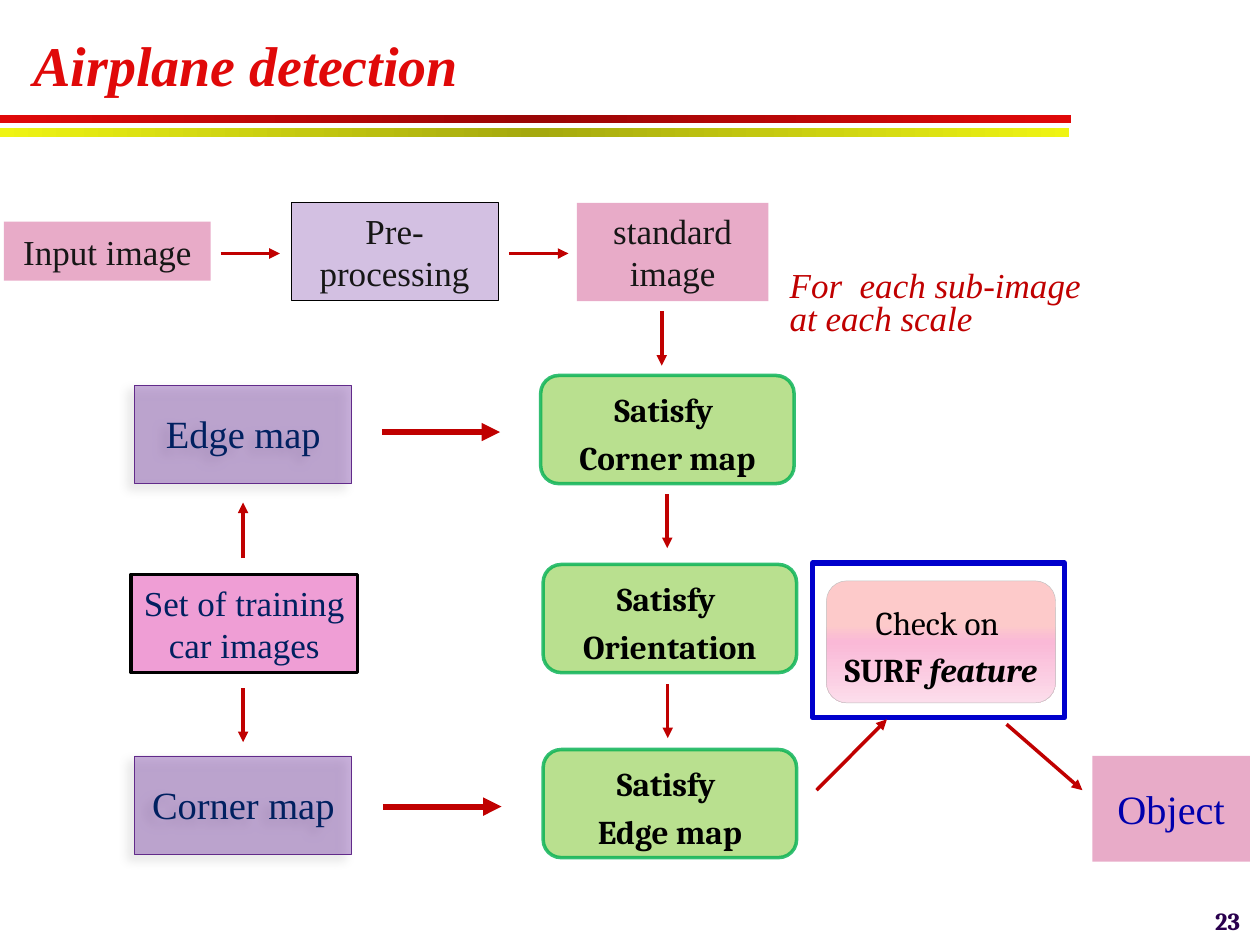
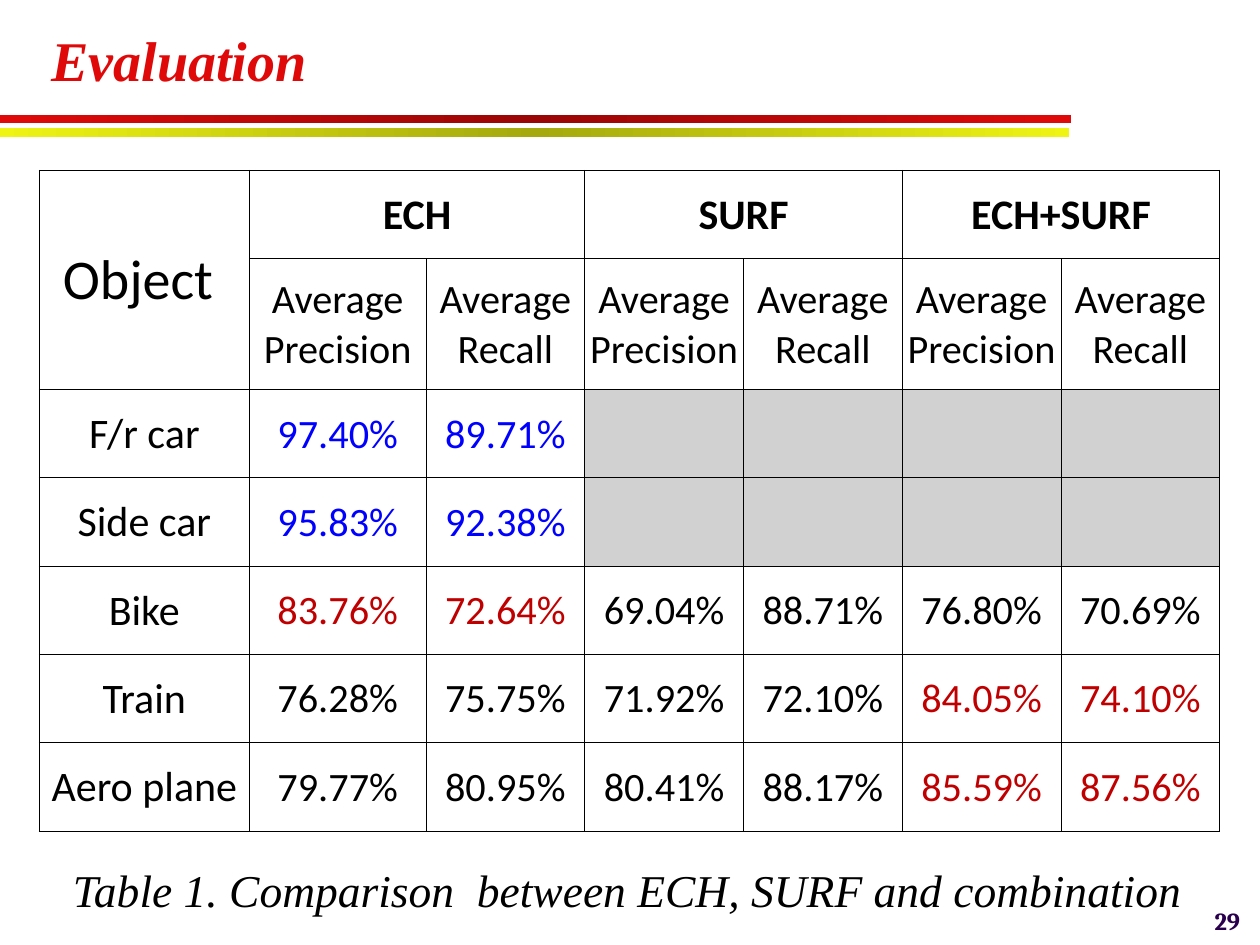
from lxml import etree
from pptx import Presentation, util as u
from pptx.dml.color import RGBColor
from pptx.enum import shapes, text
from pptx.oxml.ns import qn

COLOURS = {
    "red": "E00909", "deep red": "9A0606", "yellow": "EFF414", "olive": "A5A90E",
    "arrow": "C00000", "navy": "002060", "ink": "161616", "black": "000000",
    "number": "2A004E", "pink": "D35B95", "magenta": "D60093", "purple": "7030A0",
    "plum": "612A8A", "lime": "92D050", "green": "00B050", "frame": "0000CC",
    "object": "0000AD", "peach": "FDCACA", "rose": "FAB9D7", "blush": "FCDDEB",
    "blue": "0000FF", "grey": "BFBFBF", "caption": "010000",
}
SERIF, CAMBRIA, SANS = "Times New Roman", "Cambria", "Calibri"
RECT, ROUND = shapes.MSO_SHAPE.RECTANGLE, shapes.MSO_SHAPE.ROUNDED_RECTANGLE
LEFT, CENTER, RIGHT = text.PP_ALIGN.LEFT, text.PP_ALIGN.CENTER, text.PP_ALIGN.RIGHT
TOP, MIDDLE = text.MSO_ANCHOR.TOP, text.MSO_ANCHOR.MIDDLE

BANDS = [
    ((0, 2.31, 21.59, 0.18), "red", "deep red"),
    ((0, 2.59, 21.56, 0.18), "yellow", "olive"),
]

STYLES = {
    "image": dict(fill=("pink", 51), font=(SERIF, 20, "ink")),
    "process": dict(fill=("purple", 30), line=("black", 0.5, 100), font=(SERIF, 20, "ink")),
    "training": dict(fill=("magenta", 38), line=("black", 2, 100), font=(SERIF, 20, "navy")),
    "map": dict(fill=("purple", 38), line=("plum", 0.5, 100), font=(SERIF, 22, "navy"),
                spacing=25, shadow=True),
    "test": dict(kind=ROUND, fill=("lime", 64), line=("green", 2, 80),
                 font=(CAMBRIA, 19, "black"), spacing=27),
    "object": dict(fill=("pink", 51), font=(SERIF, 23, "object")),
    "frame": dict(line=("frame", 3, 100)),
    "check": dict(kind=ROUND, line=("grey", 0.25, 100), spacing=27,
                  stops=[(36, "peach"), (50, "rose"), (100, "blush")],
                  font=(CAMBRIA, 19, "black")),
}
STEPS = [
    ("frame", (16.38, 11.35, 5.08, 3.12), []),
    ("training", (2.64, 11.58, 4.57, 1.98), [[("Set of training car images", "")]]),
    ("map", (2.72, 7.77, 4.37, 1.98), [[("Edge map", "")]]),
    ("map", (2.72, 15.24, 4.37, 1.98), [[("Corner map", "")]]),
    ("image", (0.08, 4.47, 4.17, 1.19), [[("Input image", "")]]),
    ("process", (5.87, 4.09, 4.17, 1.96), [[("Pre-processing", "")]]),
    ("image", (11.63, 4.09, 3.86, 1.98), [[("standard image", "")]]),
    ("test", (10.9, 7.57, 5.11, 2.18), [[("Satisfy ", "b")], [("Corner map", "b")]]),
    ("test", (10.95, 11.38, 5.11, 2.18), [[("Satisfy ", "b")], [("Orientation", "b")]]),
    ("test", (10.95, 15.11, 5.11, 2.18), [[("Satisfy ", "b")], [("Edge map", "b")]]),
    ("object", (22.02, 15.24, 3.18, 2.13), [[("Object", "")]]),
    ("check", (16.66, 11.71, 4.62, 2.46),
     [[("Check on ", "")], [("SURF ", "b"), ("feature", "bi")]]),
]
ARROWS = [
    ((7.72, 16.26, 10.11, 16.26), 3.5),
    ((7.7, 8.71, 10.08, 8.71), 3.5),
    ((4.9, 13.87, 4.9, 14.96), 2),
    ((4.9, 11.25, 4.9, 10.13), 2),
    ((4.45, 5.11, 5.64, 5.11), 2),
    ((10.26, 5.11, 11.46, 5.11), 2),
    ((13.34, 6.27, 13.34, 7.37), 2),
    ((13.45, 9.96, 13.45, 11.05), 2),
    ((13.46, 13.79, 13.46, 14.88), 2),
    ((16.46, 15.93, 17.88, 14.5), 2),
    ((20.29, 14.6, 21.82, 15.93), 2),
]

METHODS = ["ECH", "SURF", "ECH+SURF"]
MEASURES = ["Average Precision", "Average Recall"]
RESULTS = [
    ("F/r car", ["97.40%", "89.71%"]),
    ("Side car", ["95.83%", "92.38%"]),
    ("Bike", ["83.76%", "72.64%", "69.04%", "88.71%", "76.80%", "70.69%"]),
    ("Train", ["76.28%", "75.75%", "71.92%", "72.10%", "84.05%", "74.10%"]),
    ("Aero plane", ["79.77%", "80.95%", "80.41%", "88.17%", "85.59%", "87.56%"]),
]
BEST_METHOD = {"Bike": 0, "Train": 2, "Aero plane": 2}
COLUMN_WIDTHS = [4.24, 3.56] + [3.2] * 5
ROW_HEIGHTS = [1.78, 2.64] + [1.78] * 5


def rgb(name):
    return RGBColor.from_string(COLOURS[name])


def cm(values):
    return [u.Cm(value) for value in values]


def paint(fill, holder, name, opacity=100):
    fill.solid()
    fill.fore_color.rgb = rgb(name)
    if opacity < 100:
        colour = holder.find(qn("a:solidFill")).find(qn("a:srgbClr"))
        etree.SubElement(colour, qn("a:alpha"), val=str(opacity * 1000))


def paint_gradient(shape, stops, angle):
    shape.fill.gradient()
    shape.fill.gradient_angle = angle
    stop_list = shape._element.spPr.find(qn("a:gradFill")).find(qn("a:gsLst"))
    for stop in list(stop_list):
        stop_list.remove(stop)
    for place, name in stops:
        stop = etree.SubElement(stop_list, qn("a:gs"), pos=str(place * 1000))
        etree.SubElement(stop, qn("a:srgbClr"), val=COLOURS[name])


def write(frame, paragraphs, font, align=LEFT, anchor=MIDDLE, spacing=None):
    frame.vertical_anchor = anchor
    face, size, colour = font
    for index, runs in enumerate(paragraphs):
        para = frame.add_paragraph() if index else frame.paragraphs[0]
        para.alignment = align
        if spacing:
            para.line_spacing = u.Pt(spacing)
        for words, marks in runs:
            span = para.add_run()
            span.text = words
            span.font.name = face
            span.font.size = u.Pt(size)
            span.font.bold = "b" in marks
            span.font.italic = "i" in marks
            span.font.color.rgb = rgb(colour)


def add_text(page, place, words, marks, font, wrap=True, **layout):
    box = page.shapes.add_textbox(*cm(place))
    box.text_frame.word_wrap = wrap
    write(box.text_frame, [[(words, marks)]], font, **layout)


def add_box(page, place, paragraphs=(), kind=RECT, fill=None, stops=None, angle=270,
            line=None, font=None, spacing=None, shadow=False):
    box = page.shapes.add_shape(kind, *cm(place))
    box.shadow.inherit = False
    properties = box._element.spPr
    if stops:
        paint_gradient(box, stops, angle)
    elif fill:
        paint(box.fill, properties, *fill)
    else:
        box.fill.background()
    if line:
        name, width, opacity = line
        box.line.width = u.Pt(width)
        paint(box.line.fill, properties.find(qn("a:ln")), name, opacity)
    else:
        box.line.fill.background()
    if shadow:
        cast = etree.SubElement(properties.find(qn("a:effectLst")), qn("a:outerShdw"),
                                blurRad=str(u.Pt(6)), dist=str(u.Pt(5)),
                                dir=str(142 * 60000), rotWithShape="0")
        shade = etree.SubElement(cast, qn("a:srgbClr"), val=COLOURS["black"])
        etree.SubElement(shade, qn("a:alpha"), val="22000")
    if paragraphs:
        frame = box.text_frame
        frame.word_wrap = True
        frame.margin_left = frame.margin_right = u.Cm(0.1)
        write(frame, paragraphs, font, CENTER, spacing=spacing)


def add_arrow(page, ends, width):
    arrow = page.shapes.add_connector(shapes.MSO_CONNECTOR.STRAIGHT, *cm(ends))
    arrow.line.width = u.Pt(width)
    arrow.line.color.rgb = rgb("arrow")
    properties = arrow._element.spPr
    etree.SubElement(properties.find(qn("a:ln")), qn("a:tailEnd"), type="triangle")
    etree.SubElement(properties, qn("a:effectLst"))


def add_page(deck, title, place, number):
    page = deck.slides.add_slide(deck.slide_layouts[6])
    for band, edge, middle in BANDS:
        add_box(page, band, stops=[(0, edge), (50, middle), (100, edge)], angle=0)
    add_text(page, place, title, "bi", (SERIF, 32, "red"))
    add_text(page, (24.21, 18.24, 1.04, 0.64), number, "b", (CAMBRIA, 14, "number"),
             wrap=False, align=RIGHT)
    return page


def fill_cell(cell, words="", size=23, colour="black", marks=""):
    cell.margin_left = cell.margin_right = cell.margin_top = u.Cm(0.03)
    cell.margin_bottom = 0
    write(cell.text_frame, [[(words, marks)]] if words else [], (SANS, size, colour), CENTER)
    cell.vertical_anchor = MIDDLE


def value_colour(name, method):
    if name not in BEST_METHOD:
        return "blue"
    return "arrow" if BEST_METHOD[name] == method else "black"


def add_results(page):
    frame = page.shapes.add_table(
        len(ROW_HEIGHTS), len(COLUMN_WIDTHS),
        *cm((0.79, 3.43, sum(COLUMN_WIDTHS), sum(ROW_HEIGHTS))))
    table = frame.table
    table.first_row = table.horz_banding = False
    for column, width in zip(table.columns, COLUMN_WIDTHS):
        column.width = u.Cm(width)
    for row, height in zip(table.rows, ROW_HEIGHTS):
        row.height = u.Cm(height)
    for cell in table.iter_cells():
        cell.fill.background()
        properties = cell._tc.tcPr
        for index, side in enumerate(("lnL", "lnR", "lnT", "lnB")):
            border = etree.Element(qn("a:" + side), w=str(u.Pt(0.5)))
            solid = etree.SubElement(border, qn("a:solidFill"))
            etree.SubElement(solid, qn("a:srgbClr"), val=COLOURS["black"])
            properties.insert(index, border)

    table.cell(0, 0).merge(table.cell(1, 0))
    fill_cell(table.cell(0, 0), "Object ", 32)
    for method, name in enumerate(METHODS):
        first = 1 + method * len(MEASURES)
        table.cell(0, first).merge(table.cell(0, first + 1))
        fill_cell(table.cell(0, first), name, 24, marks="b")
        for offset, measure in enumerate(MEASURES):
            fill_cell(table.cell(1, first + offset), measure)
    for row, (name, values) in enumerate(RESULTS, 2):
        fill_cell(table.cell(row, 0), name, 24)
        for index in range(len(METHODS) * len(MEASURES)):
            cell = table.cell(row, index + 1)
            if index < len(values):
                method = index // len(MEASURES)
                fill_cell(cell, values[index], colour=value_colour(name, method))
            else:
                paint(cell.fill, cell._tc.tcPr, "grey", 71)


def main():
    deck = Presentation()
    deck.slide_width, deck.slide_height = cm((25.4, 19.05))

    page = add_page(deck, "Airplane detection", (0.43, 0.03, 23.72, 2.51), "23")
    add_text(page, (15.67, 5.36, 6.55, 1.57), "For  each sub-image at each scale", "i",
             (SERIF, 20, "arrow"), anchor=TOP, spacing=19)
    for style, place, paragraphs in STEPS:
        add_box(page, place, paragraphs, **STYLES[style])
    for ends, width in ARROWS:
        add_arrow(page, ends, width)

    page = add_page(deck, "Evaluation", (0.79, 0.18, 20.57, 2.01), "29")
    add_text(page, (0.74, 16.76, 23.83, 2.2),
             "Table 1. Comparison  between ECH, SURF and combination", "i",
             (SERIF, 26, "caption"), align=CENTER, anchor=TOP, spacing=45)
    add_results(page)
    deck.save("out.pptx")


if __name__ == "__main__":
    main()
